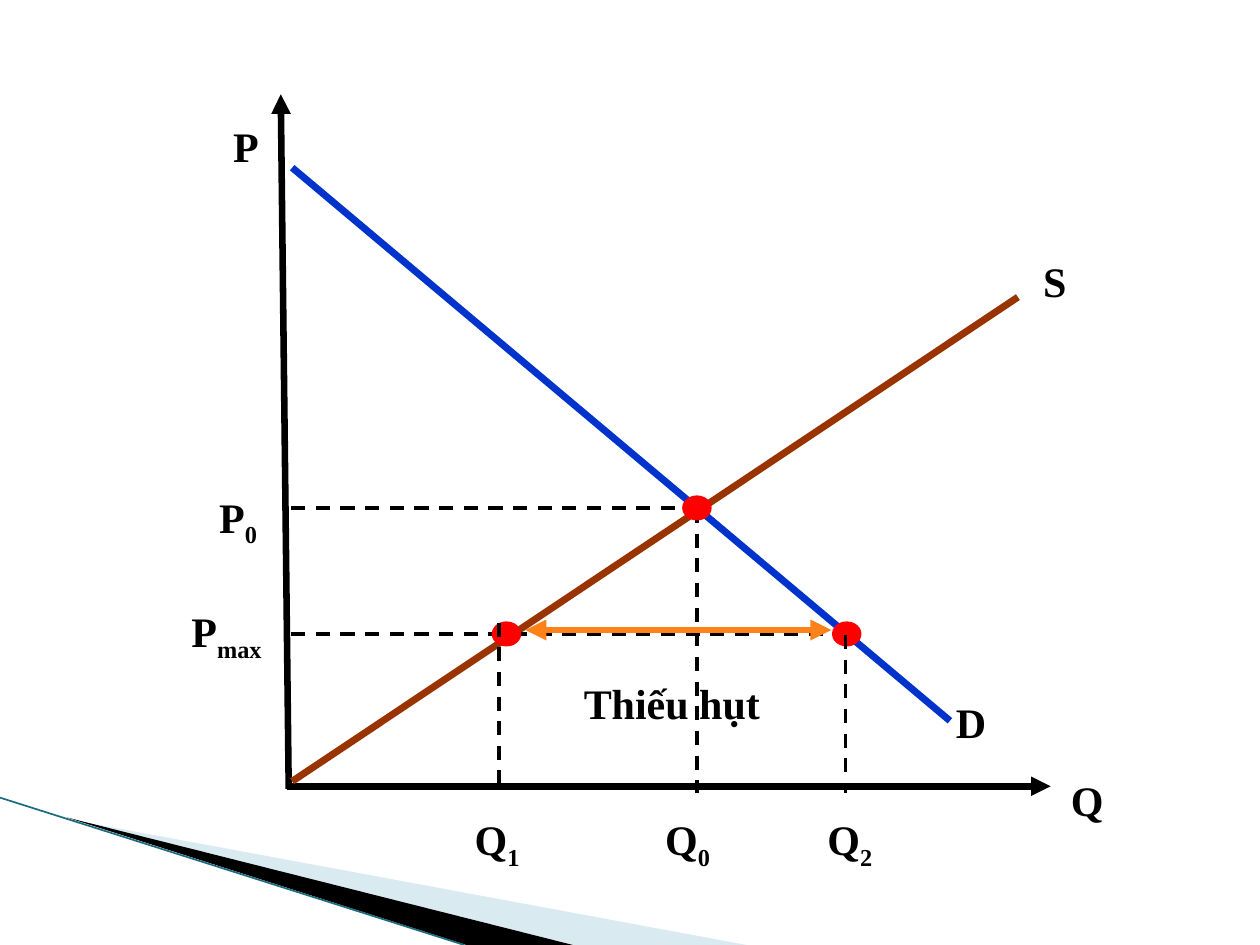
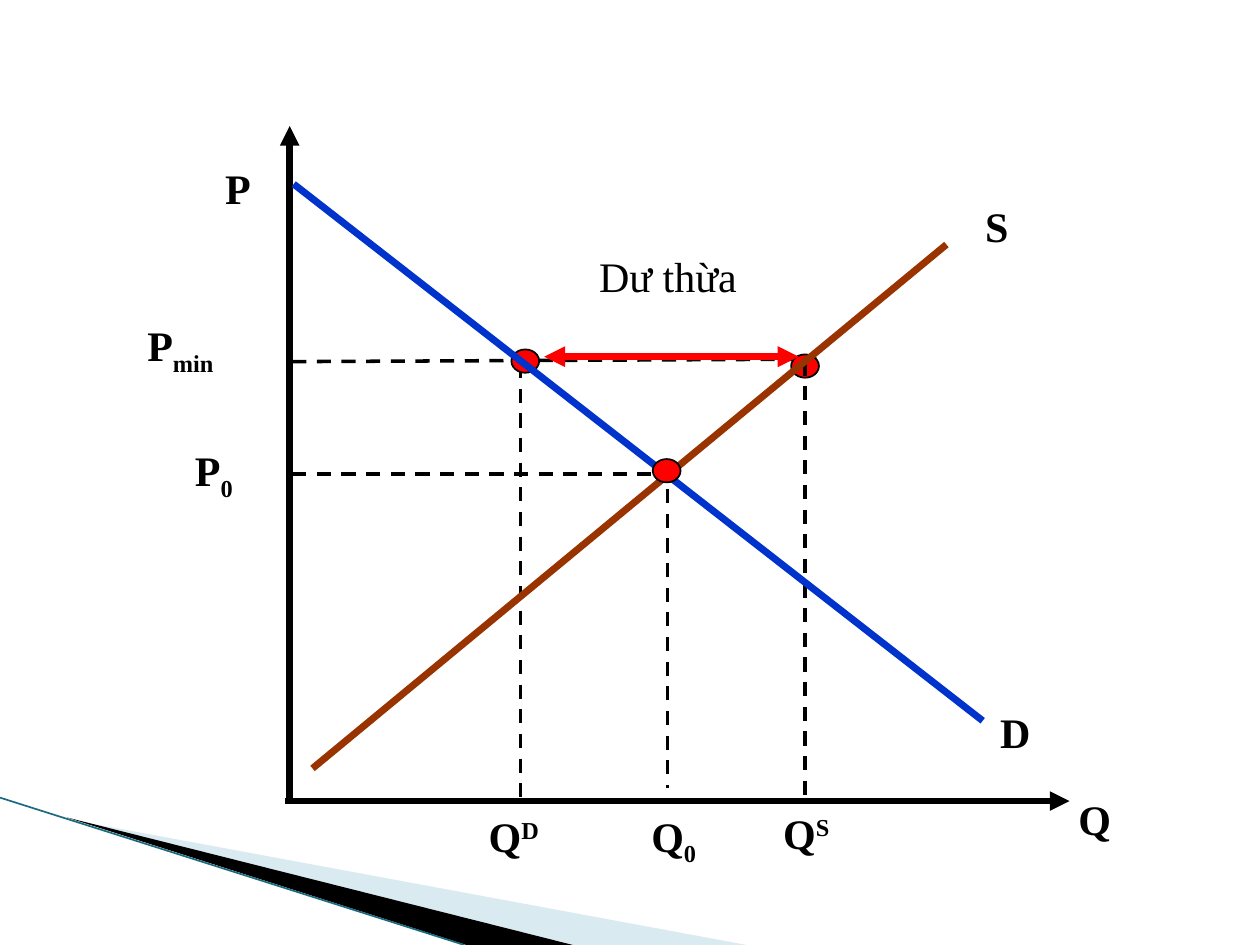
import pptx
import pptx.util
import pptx.dml.color
import pptx.enum.dml
import pptx.enum.shapes
import pptx.enum.text
import pptx.oxml.ns
from lxml import etree

Cm = pptx.util.Cm
Pt = pptx.util.Pt
qn = pptx.oxml.ns.qn

FONT = "Times New Roman"
BLACK = "000000"
RED = "FF0000"
ORANGE = "FF8119"
SUPPLY = "993300"
DEMAND = "0033CC"
BAND = "A0CBDC"
BAND_EDGE = "1B6B80"
SUB, SUP = -25, 30
LETTER_WIDTHS = {"P": 1.02, "Q": 1.17, "S": 0.99, "D": 1.12}
SCRIPT_WIDTH = 0.45


def rgb(color):
    return pptx.dml.color.RGBColor.from_string(color)


def line(s, start, end, color, width, dash=False, heads=()):
    ln = s.shapes.add_connector(
        pptx.enum.shapes.MSO_CONNECTOR.STRAIGHT,
        *[Cm(v) for v in (*start, *end)])
    ln.line.color.rgb = rgb(color)
    ln.line.width = Pt(width)
    if dash:
        ln.line.dash_style = pptx.enum.dml.MSO_LINE.DASH
    props = ln.line._get_or_add_ln()
    for head in heads:
        etree.SubElement(props, qn(f"a:{head}"), type="triangle")
    etree.SubElement(ln._element.spPr, qn("a:effectLst"))


def guide(s, start, end):
    line(s, start, end, BLACK, 2, dash=True)


def gap_arrow(s, start, end, color):
    line(s, start, end, color, 4, heads=("headEnd", "tailEnd"))


def dot(s, x, y, outline):
    w, h = 0.56, 0.47
    sp = s.shapes.add_shape(
        pptx.enum.shapes.MSO_SHAPE.OVAL,
        Cm(x - w / 2), Cm(y - h / 2), Cm(w), Cm(h))
    sp.shadow.inherit = False
    sp.fill.solid()
    sp.fill.fore_color.rgb = rgb(RED)
    sp.line.color.rgb = rgb(outline)
    sp.line.width = Pt(1)


def text(s, x, y, w, content, bold=True):
    sp = s.shapes.add_textbox(Cm(x), Cm(y), Cm(w), Cm(1.27))
    tf = sp.text_frame
    tf.word_wrap = True
    tf.text = content
    p = tf.paragraphs[0]
    style(p.runs[0], bold)
    return p


def style(r, bold=True):
    r.font.name = FONT
    r.font.size = Pt(24)
    r.font.bold = bold
    r.font.color.rgb = rgb(BLACK)


def label(s, x, y, letter, script="", baseline=SUB):
    width = LETTER_WIDTHS[letter] + SCRIPT_WIDTH * len(script)
    p = text(s, x, y, width, letter)
    if script:
        r = p.add_run()
        r.text = script
        style(r)
        r.font._element.set("baseline", str(baseline * 1000))


def caption(s, x, y, w, content, bold):
    p = text(s, x, y, w, content, bold)
    p.alignment = pptx.enum.text.PP_ALIGN.CENTER


def band(s, points, color, alpha=None):
    start, *rest = [(Cm(x), Cm(y)) for x, y in points]
    fb = s.shapes.build_freeform(*start)
    fb.add_line_segments(rest)
    sp = fb.convert_to_shape()
    sp.shadow.inherit = False
    sp.fill.solid()
    sp.fill.fore_color.rgb = rgb(color)
    sp.line.fill.background()
    if alpha:
        clr = sp._element.spPr.find(qn("a:solidFill"))[0]
        etree.SubElement(clr, qn("a:alpha"), val=str(alpha * 1000))


def corner(s):
    bottom = 19.05
    band(s, [(1.4, 16.52), (15.05, bottom), (11.58, bottom)], BAND, 40)
    band(s, [(1.35, 16.48), (11.55, bottom), (9.4, bottom)], BLACK)
    line(s, (0, 16.08), (9.36, bottom), BAND_EDGE, 0.95)


def axes(s, price, quantity):
    for start, end in (price, quantity):
        line(s, start, end, BLACK, 3.75, heads=("tailEnd",))


def curves(s, supply, demand):
    line(s, *supply, SUPPLY, 4)
    line(s, *demand, DEMAND, 4)


def labels(s, places):
    for place in places:
        label(s, *place)


def shortage_slide(s):
    axes(s, ((5.82, 15.9), (5.66, 1.9)), ((5.79, 15.85), (21.18, 15.85)))
    curves(s, ((5.89, 15.75), (20.52, 5.99)), ((5.89, 3.38), (19.15, 14.53)))
    guide(s, (5.87, 10.24), (13.72, 10.24))
    guide(s, (14.05, 10.26), (14.05, 15.98))
    guide(s, (5.87, 12.78), (16.74, 12.78))
    for x, y in ((14.05, 10.24), (10.21, 12.78), (17.07, 12.78)):
        dot(s, x, y, RED)
    guide(s, (10.06, 12.55), (10.06, 15.85))
    guide(s, (17.04, 12.8), (17.04, 15.98))
    labels(s, [
        (21.34, 15.49, "Q"), (4.45, 2.31, "P"),
        (20.78, 5.03, "S"), (19.02, 13.92, "D"),
        (4.17, 9.78, "P", "0"), (3.61, 12.09, "P", "max"),
        (9.32, 16.28, "Q", "1"), (13.16, 16.28, "Q", "0"),
        (16.43, 16.28, "Q", "2")])
    caption(s, 10.8, 13.54, 5.49, "Thiếu hụt", True)
    gap_arrow(s, (10.59, 12.7), (16.76, 12.7), ORANGE)


def surplus_slide(s):
    guide(s, (5.89, 7.29), (16.46, 7.24))
    guide(s, (10.49, 7.34), (10.49, 16.28))
    dot(s, 16.23, 7.38, BLACK)
    guide(s, (16.23, 7.29), (16.23, 16.23))
    dot(s, 10.59, 7.28, BLACK)
    axes(s, ((5.84, 16.21), (5.84, 2.54)), ((5.74, 16.15), (21.56, 16.15)))
    curves(s, ((6.3, 15.49), (19.08, 4.93)), ((5.92, 3.71), (19.81, 14.53)))
    guide(s, (5.89, 9.55), (13.59, 9.55))
    guide(s, (13.46, 9.86), (13.46, 15.88))
    labels(s, [
        (21.49, 15.88, "Q"), (4.29, 3.15, "P"),
        (19.61, 3.91, "S"), (19.91, 14.12, "D"),
        (2.72, 6.32, "P", "min"), (3.68, 8.84, "P", "0"),
        (9.6, 16.21, "Q", "D", SUP), (12.88, 16.21, "Q", "0"),
        (15.54, 16.15, "Q", "S", SUP)])
    gap_arrow(s, (10.97, 7.19), (16.1, 7.19), RED)
    caption(s, 10.62, 4.93, 5.69, "Dư thừa", False)
    dot(s, 13.44, 9.49, BLACK)


def main():
    prs = pptx.Presentation()
    prs.slide_width, prs.slide_height = Cm(25.4), Cm(19.05)
    blank = prs.slide_layouts[6]
    for build in (shortage_slide, surplus_slide):
        s = prs.slides.add_slide(blank)
        corner(s)
        build(s)
    prs.save("out.pptx")


if __name__ == "__main__":
    main()
